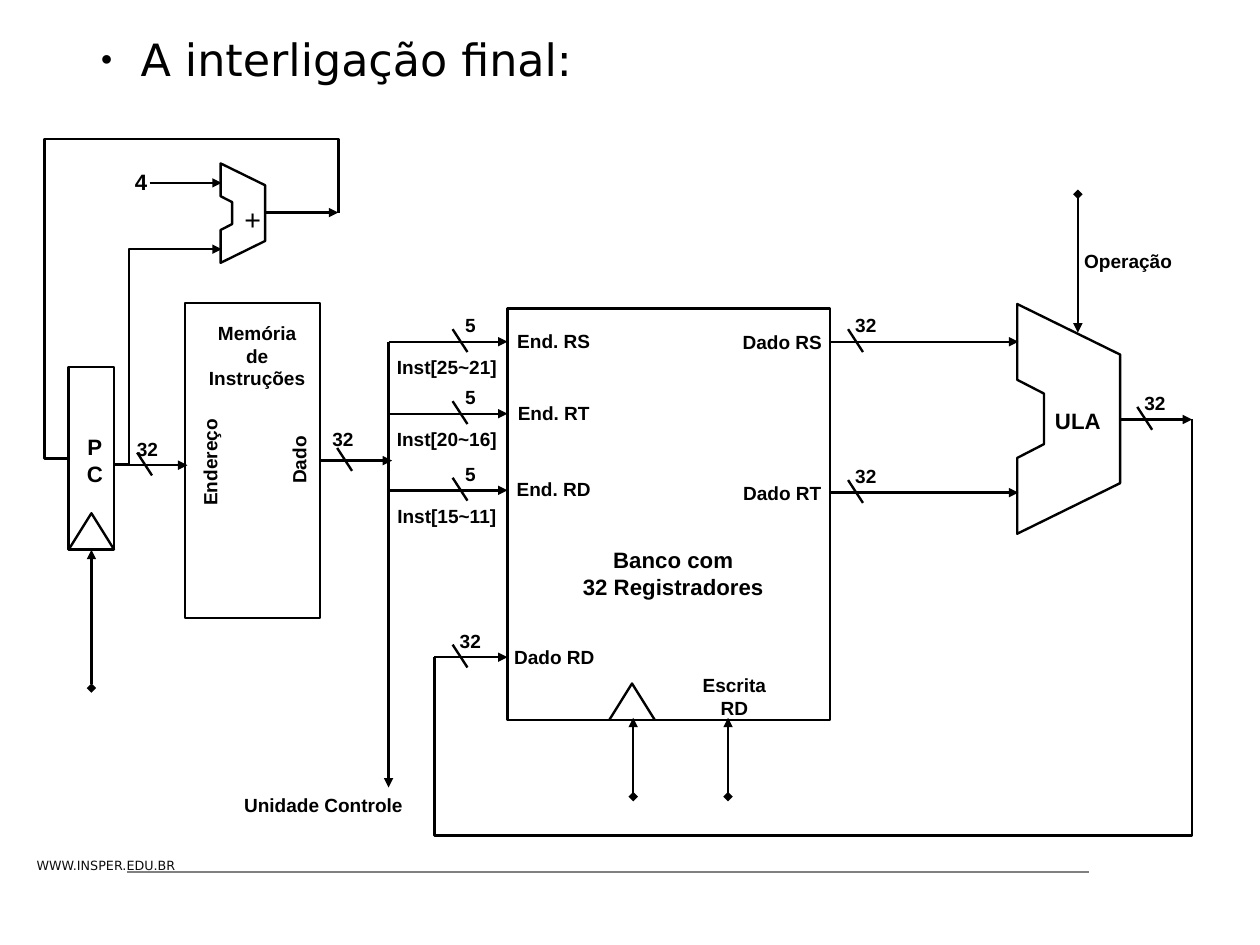
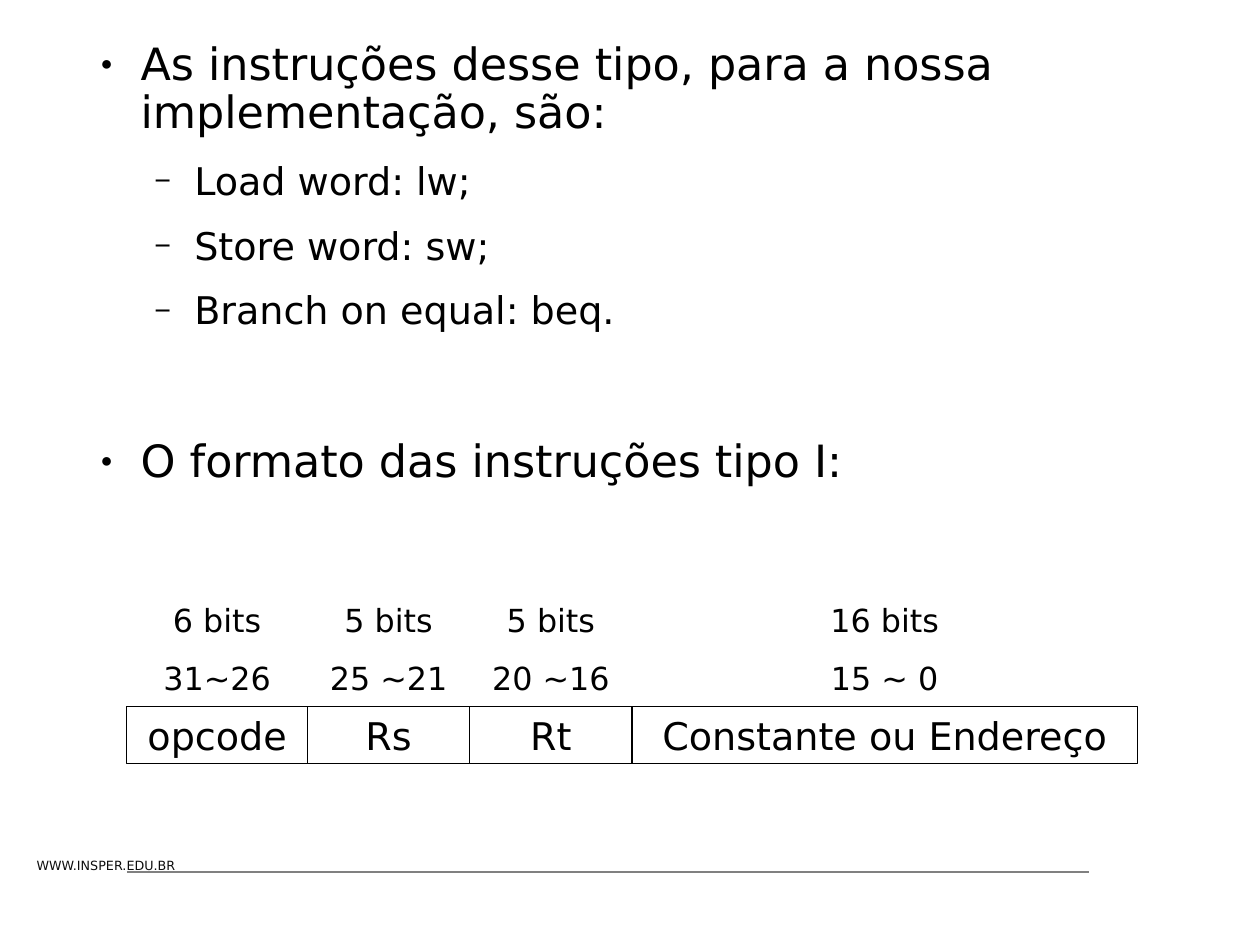
"""Build two slides on a processor datapath and the type I instruction format."""
from itertools import accumulate

from lxml import etree
from pptx import Presentation, util as u
from pptx.dml.color import RGBColor
from pptx.enum import shapes, text
from pptx.oxml import ns

COLORS = {"ink": "000000", "footer": "0D0D0D", "rule": "808080"}
SANS, ARIAL = "DejaVu Sans", "Arial"
CELL = u.Inches(0.1)
BULLETS = [
    {"mark": "●", "scale": 45, "margin": 4.7, "size": 28, "before": 18.7},
    {"mark": "−", "scale": 75, "margin": 9.4, "size": 24, "before": 15},
]
HANGING = -3.5


def grid(*cells):
    """Turn counts of grid cells into lengths."""
    return [u.Emu(round(cell * CELL)) for cell in cells]


def color(name):
    """Look up a named colour."""
    return RGBColor.from_string(COLORS[name])


def add_xml(parent, tag, **attributes):
    """Append a drawing element to a parent."""
    child = etree.SubElement(parent, ns.qn(tag))
    for key, value in attributes.items():
        child.set(key, str(value))
    return child


def style_spans(para, size, font, bold=False, ink="ink"):
    """Format every run of a paragraph."""
    for span in para.runs:
        span.font.size = u.Pt(size)
        span.font.name = font
        span.font.bold = bold
        span.font.color.rgb = color(ink)


def write(box, words, size, font, bold=False, ink="ink", gap=0,
          align=text.PP_ALIGN.CENTER, anchor=text.MSO_ANCHOR.MIDDLE, wrap=False):
    """Fill a shape with evenly formatted text and no insets."""
    frame = box.text_frame
    frame.text = words
    frame.word_wrap = wrap
    frame.vertical_anchor = anchor
    frame.margin_left = frame.margin_right = frame.margin_top = frame.margin_bottom = 0
    for index, para in enumerate(frame.paragraphs):
        para.alignment = align
        para.space_before = u.Pt(gap if index else 0)
        style_spans(para, size, font, bold, ink)


def label(page, words, left, top, width, height, size=12, bold=True, turn=0):
    """Add a diagram label centred in its box."""
    box = page.shapes.add_textbox(*grid(left, top, width, height))
    box.rotation = turn
    write(box, words, size, ARIAL, bold)


def outline(shape, weight=1.5):
    """Give a shape a plain outline without fill or shadow."""
    shape.shadow.inherit = False
    shape.fill.background()
    shape.line.color.rgb = color("ink")
    shape.line.width = u.Pt(weight)
    return shape


def block(page, left, top, width, height, weight=1.5):
    """Add an outlined rectangle."""
    return outline(page.shapes.add_shape(
        shapes.MSO_SHAPE.RECTANGLE, *grid(left, top, width, height)), weight)


def polygon(page, points, close):
    """Add an outline through the given grid points."""
    start, *rest = [grid(*point) for point in points]
    builder = page.shapes.build_freeform(*start, scale=1.0)
    builder.add_line_segments(rest, close=close)
    return outline(builder.convert_to_shape())


def alu(page, left, top, width, height):
    """Draw a notched arithmetic unit."""
    shares = [(0, 0), (1, 0.22), (1, 0.78), (0, 1),
              (0, 0.67), (0.26, 0.61), (0.26, 0.39), (0, 0.33)]
    polygon(page, [(left + x * width, top + y * height) for x, y in shares], True)


def clock_mark(page, left, bottom):
    """Draw the open triangle of a clock input."""
    polygon(page, [(left, bottom), (left + 2, bottom - 3.2), (left + 4, bottom)], False)


def finish_line(line, ink="ink", weight=1.5, head=None, tail=None):
    """Set a connector's colour, width and ends, without a shadow."""
    line.line.color.rgb = color(ink)
    line.line.width = u.Pt(weight)
    stroke = line.element.spPr.find(ns.qn("a:ln"))
    for tag, kind in (("a:headEnd", head), ("a:tailEnd", tail)):
        if kind:
            add_xml(stroke, tag, type=kind)
    add_xml(line.element.spPr, "a:effectLst")


def straight(page, start, end, source=None, target=None, **style):
    """Add a straight line, joined to (shape, side) pairs if given."""
    line = page.shapes.add_connector(shapes.MSO_CONNECTOR.STRAIGHT, *grid(*start, *end))
    if source:
        line.begin_connect(*source)
    if target:
        line.end_connect(*target)
    finish_line(line, **style)


def arrow(page, start, end, **style):
    """Add a straight arrow."""
    straight(page, start, end, tail="triangle", **style)


def elbow(page, start, end, guides, turned=False):
    """Add a bent connector, leaving vertically if turned."""
    (x0, y0), (x1, y1) = start, end
    if turned:
        middle_x, middle_y = (x0 + x1) / 2, (y0 + y1) / 2
        half_w, half_h = abs(y1 - y0) / 2, abs(x1 - x0) / 2
        x0, x1 = middle_x - half_w, middle_x + half_w
        y0, y1 = middle_y - half_h, middle_y + half_h
    line = page.shapes.add_connector(shapes.MSO_CONNECTOR.ELBOW, *grid(x0, y0, x1, y1))
    properties = line.element.spPr
    if turned:
        properties.find(ns.qn("a:xfrm")).set("rot", str(90 * 60000))
    geometry = properties.find(ns.qn("a:prstGeom"))
    geometry.set("prst", f"bentConnector{len(guides) + 2}")
    values = geometry.find(ns.qn("a:avLst"))
    for index, share in enumerate(guides, 1):
        add_xml(values, "a:gd", name=f"adj{index}", fmla=f"val {round(share * 100000)}")
    finish_line(line)


def bus(page, left, right, row, slash, bits, shift=1.55, lift=1.45, **joins):
    """Add an arrow crossed by a slash with its number of bits."""
    arrow(page, (left, row), (right, row), **joins)
    straight(page, (slash, row - 1.1), (slash + 1.3, row + 0.9))
    label(page, bits, slash + shift - 1, row - lift - 1, 2, 2)


def bullet_list(page, top, items):
    """Fill the body placeholder with (level, words, extra space) items."""
    body = page.placeholders[1]
    body.left, body.top, body.width, body.height = grid(7.6, top, 95.1, 74.5 - top)
    frame = body.text_frame
    frame.text = "\n".join(words for _, words, _ in items)
    frame.auto_size = text.MSO_AUTO_SIZE.NONE
    frame.margin_left = frame.margin_right = frame.margin_top = frame.margin_bottom = 0
    for index, (para, (level, _, extra)) in enumerate(zip(frame.paragraphs, items)):
        look = BULLETS[level]
        para.level = level
        para.line_spacing = 0.9
        para.space_before = u.Pt(look["before"] + extra if index else 0)
        margin, indent = grid(look["margin"], HANGING)
        properties = para._p.get_or_add_pPr()
        properties.set("marL", str(margin))
        properties.set("indent", str(indent))
        add_xml(add_xml(properties, "a:buClr"), "a:srgbClr", val=COLORS["ink"])
        add_xml(properties, "a:buSzPct", val=look["scale"] * 1000)
        add_xml(properties, "a:buFont", typeface=ARIAL)
        add_xml(properties, "a:buChar", char=look["mark"])
        style_spans(para, look["size"], SANS)


def new_page(deck, top, items):
    """Add a page with the shared footer and a bulleted list."""
    page = deck.slides.add_slide(deck.slide_layouts[1])
    title = page.shapes.title.element
    title.getparent().remove(title)
    box = page.shapes.add_textbox(*grid(3.2, 75.1, 14.5, 1.3))
    write(box, "WWW.INSPER.EDU.BR", 8, SANS, ink="footer", align=text.PP_ALIGN.LEFT)
    straight(page, (11.1, 76.3), (95.3, 76.3), ink="rule", weight=1)
    bullet_list(page, top, items)
    return page


def draw_fetch(page):
    """Draw the program counter, its adder and the instruction memory."""
    counter = block(page, 6, 32.1, 4, 16)
    clock_mark(page, 6, 48.1)
    label(page, "P\nC", 6.6, 37.1, 3.4, 6.3, size=14)
    arrow(page, (8, 60.2), (8, 48.1), target=(counter, 2), head="diamond")
    memory = block(page, 16.2, 26.5, 11.8, 27.6)
    label(page, "Memória\nde\nInstruções", 17, 27.2, 11, 7.8)
    label(page, "Endereço", 13.2, 38.8, 10.3, 3.3, turn=270)
    label(page, "Dado", 22.9, 38.6, 6.5, 3.3, turn=270)
    bus(page, 10.1, 16.4, 40.7, 12, "32", shift=0.9)
    bus(page, 28, 34.3, 40.3, 29.5, "32", shift=0.5, lift=1.9, source=(memory, 3))
    alu(page, 19.3, 14.3, 3.9, 8.7)
    label(page, "+", 20.4, 17, 3.4, 4.4, size=18, bold=False)
    label(page, "4", 10.8, 14.1, 3.1, 3.6, size=14)
    for row in (16, 21.8):
        arrow(page, (13.1, row), (19.4, row))
    arrow(page, (23.2, 18.6), (29.6, 18.6))
    elbow(page, (10.1, 40.6), (13.1, 21.8), [0.4])
    elbow(page, (29.6, 18.6), (6, 40.1), [-0.3, 1.09], turned=True)


def draw_registers(page):
    """Draw the register bank with its inputs and outputs."""
    block(page, 44.4, 27, 28.2, 36)
    for row, port, field in ((29.9, "End. RS", "Inst[25~21]"),
                             (36.2, "End. RT", "Inst[20~16]"),
                             (42.9, "End. RD", "Inst[15~11]")):
        bus(page, 34, 44.4, row, 39.6, "5")
        label(page, port, 43.8, row - 2.1, 9.3, 4)
        label(page, field, 33.8, row + 0.55, 10.6, 3.3)
    for row, port in ((29.9, "Dado RS"), (43.1, "Dado RT")):
        bus(page, 72.6, 89.1, row, 74.2, "32")
        label(page, port, 63.6, row - 2, 9.7, 4)
    bus(page, 38, 44.4, 57.5, 39.6, "32")
    label(page, "Dado RD", 43.5, 55.5, 10, 4)
    label(page, "Escrita\nRD", 59.9, 57.8, 8.7, 6.3)
    label(page, "Banco com\n32 Registradores", 49.3, 46.6, 19.2, 7.1, size=14)
    clock_mark(page, 53.3, 63)
    for column in (55.4, 63.7):
        arrow(page, (column, 69.7), (column, 62.8), head="diamond")
    arrow(page, (34, 29.9), (34, 68.9))
    label(page, "Unidade Controle", 20.4, 68.8, 15.8, 3.3)


def draw_alu(page):
    """Draw the arithmetic unit and the way back to the registers."""
    alu(page, 89, 26.6, 9, 20.1)
    label(page, "ULA", 91.2, 35, 6.2, 3.6, size=14)
    label(page, "Operação", 93.9, 21.2, 9.6, 3.3)
    arrow(page, (94.3, 17), (94.3, 29.1), head="diamond")
    bus(page, 97.9, 104.3, 36.7, 99.5, "32")
    elbow(page, (104.3, 36.7), (38, 57.5), [1.75], turned=True)


def draw_format(page):
    """Draw the instruction fields with their sizes and bit ranges."""
    fields = [("opcode", "6 bits\n31~26", 15.8), ("Rs", "5 bits\n25 ~21", 14.2),
              ("Rt", "5 bits\n20 ~16", 14.2), ("Constante ou Endereço", "16 bits\n15 ~ 0", 44.2)]
    lefts = accumulate((width for _, _, width in fields), initial=11.1)
    for (name, bits, width), left in zip(fields, lefts):
        write(block(page, left, 61.8, width, 5, 0.75), name, 24, SANS)
        box = page.shapes.add_textbox(*grid(left, 52.6, width, 8.9))
        write(box, bits, 20, SANS, gap=12.5, anchor=text.MSO_ANCHOR.TOP, wrap=True)


def main():
    """Build and save the deck."""
    deck = Presentation()
    deck.slide_width = u.Cm(28)
    deck.slide_height = u.Cm(21)
    datapath = new_page(deck, 3.3, [(0, "A interligação final:", 0)])
    draw_fetch(datapath)
    draw_registers(datapath)
    draw_alu(datapath)
    draw_format(new_page(deck, 3.7, [
        (0, "As instruções desse tipo, para a nossa implementação, são:", 0),
        (1, "Load word: lw;", 0),
        (1, "Store word: sw;", 0),
        (1, "Branch on equal: beq.", 0),
        (0, "O formato das instruções tipo I:", 48),
    ]))
    deck.save("out.pptx")


if __name__ == "__main__":
    main()
